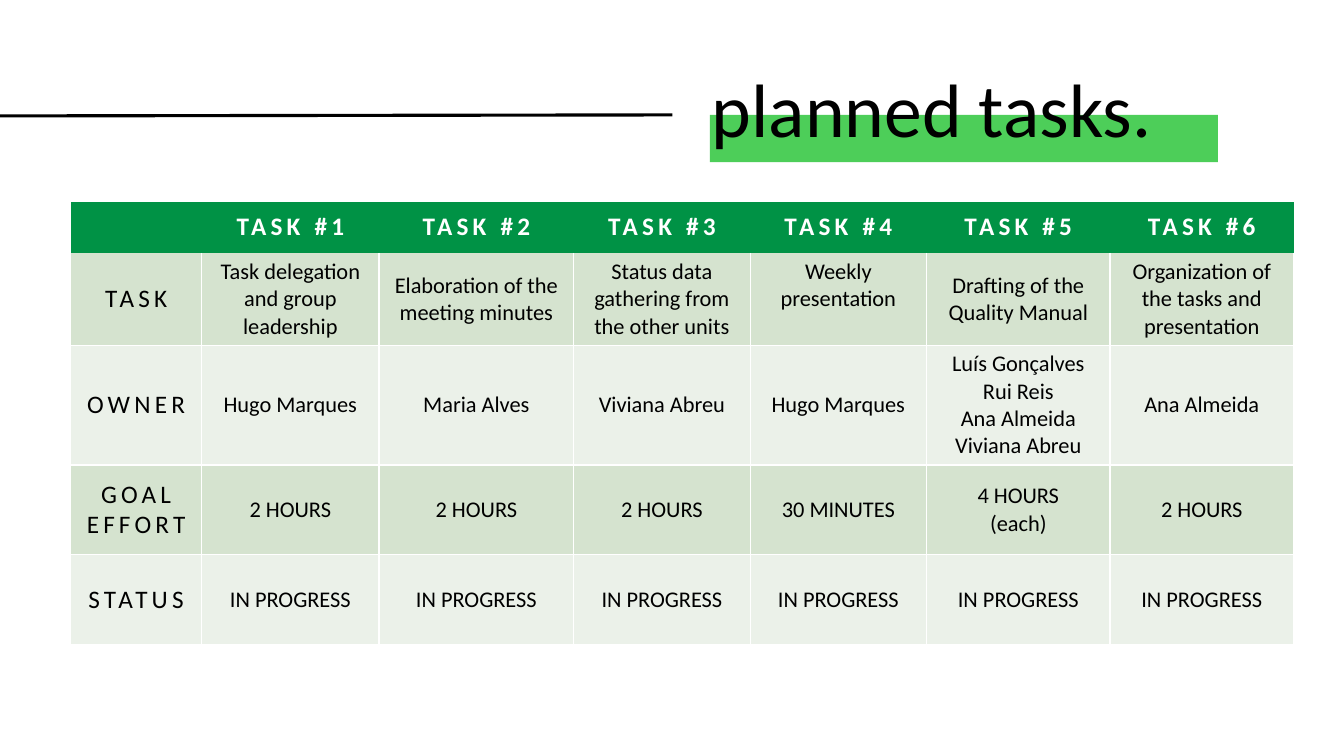
"""Build the planned tasks slide with its title band, rule and task table."""
import lxml.etree
import pptx
import pptx.dml.color
import pptx.enum.shapes
import pptx.enum.text
import pptx.oxml.ns
import pptx.util

TITLE = "planned tasks."
HEADER = [""] + [f"TASK #{number}" for number in range(1, 7)]
BODY = [
    ["TASK", "Task delegation and group leadership", "Elaboration of the meeting minutes",
     "Status data gathering from the other units", "Weekly presentation",
     "Drafting of the Quality Manual", "Organization of the tasks and presentation"],
    ["OWNER", "Hugo Marques", "Maria Alves", "Viviana Abreu", "Hugo Marques",
     "Luís Gonçalves\nRui Reis\nAna Almeida\nViviana Abreu", "Ana Almeida"],
    ["GOAL\nEFFORT", "2 HOURS", "2 HOURS", "2 HOURS", "30 MINUTES", "4 HOURS\n(each)", "2 HOURS"],
    ["STATUS"] + ["IN PROGRESS"] * 6,
]
TOP_ANCHORED = (1, 4)
COLUMN_WIDTHS = [1.3, 1.76, 1.93, 1.75, 1.75, 1.82, 1.82]
ROW_HEIGHTS = [0.51] + [0.89] * 4
TABLE_LEFT, TABLE_TOP = 0.7, 2
BAND_BOX = (7.04, 1.14, 5.04, 0.47)
TITLE_BOX = (6.96, 0.4, 5.45, 1.45)
RULE_ENDS = (0, 1.15, 6.67, 1.14)

THEME = {
    "font": "Calibri", "title": 54, "label": 18, "text": 16, "tracking": 300,
    "rule": 2.25, "border": 1,
    "black": "000000", "white": "FFFFFF", "accent": "4DCE59", "header": "009245",
    "bands": ("D5E3CF", "EBF1E9"),
}


def color(value):
    return pptx.dml.color.RGBColor.from_string(value)


def inches(values):
    return [pptx.util.Inches(value) for value in values]


def add_run(paragraph, text, size, ink, bold=False, tracking=0):
    run = paragraph.add_run()
    run.text = text
    run.font.name = THEME["font"]
    run.font.size = pptx.util.Pt(size)
    run.font.bold = bold
    run.font.color.rgb = color(ink)
    if tracking:
        run.font._element.set("spc", str(tracking))


def set_borders(cell, visible):
    properties = cell._tc.get_or_add_tcPr()
    for position, side in enumerate(("lnL", "lnR", "lnT", "lnB")):
        border = lxml.etree.Element(pptx.oxml.ns.qn(f"a:{side}"))
        border.set("w", str(pptx.util.Pt(THEME["border"])))
        if side in visible:
            fill = lxml.etree.SubElement(border, pptx.oxml.ns.qn("a:solidFill"))
            lxml.etree.SubElement(fill, pptx.oxml.ns.qn("a:srgbClr"), val=THEME["white"])
        else:
            lxml.etree.SubElement(border, pptx.oxml.ns.qn("a:noFill"))
        properties.insert(position, border)


def fill_cell(cell, text, row, column):
    is_header = row == 0
    is_label = is_header or column == 0
    middle, top = pptx.enum.text.MSO_ANCHOR.MIDDLE, pptx.enum.text.MSO_ANCHOR.TOP
    cell.vertical_anchor = top if (row, column) == TOP_ANCHORED else middle
    cell.fill.solid()
    cell.fill.fore_color.rgb = color(THEME["header"] if is_header else THEME["bands"][(row - 1) % 2])
    sides = {0: (), 1: ("lnL", "lnR", "lnB")}
    set_borders(cell, sides.get(row, ("lnL", "lnR", "lnT", "lnB")))
    for index, line in enumerate(text.split("\n") if text else []):
        paragraph = cell.text_frame.add_paragraph() if index else cell.text_frame.paragraphs[0]
        paragraph.alignment = pptx.enum.text.PP_ALIGN.CENTER
        add_run(paragraph, line, THEME["label" if is_label else "text"],
                THEME["white" if is_header else "black"], is_header,
                THEME["tracking"] if is_label else 0)


def add_band(slide):
    band = slide.shapes.add_shape(pptx.enum.shapes.MSO_SHAPE.RECTANGLE, *inches(BAND_BOX))
    band.shadow.inherit = False
    band.fill.solid()
    band.fill.fore_color.rgb = color(THEME["accent"])
    band.line.fill.background()


def add_task_table(slide):
    box = inches((TABLE_LEFT, TABLE_TOP, sum(COLUMN_WIDTHS), sum(ROW_HEIGHTS)))
    table = slide.shapes.add_table(len(ROW_HEIGHTS), len(COLUMN_WIDTHS), *box).table
    table.horz_banding = False
    for column, width in zip(table.columns, inches(COLUMN_WIDTHS)):
        column.width = width
    for row, height in zip(table.rows, inches(ROW_HEIGHTS)):
        row.height = height
    for row, texts in enumerate([HEADER] + BODY):
        for column, text in enumerate(texts):
            fill_cell(table.cell(row, column), text, row, column)


def add_rule(slide):
    rule = slide.shapes.add_connector(pptx.enum.shapes.MSO_CONNECTOR.STRAIGHT, *inches(RULE_ENDS))
    rule.line.color.rgb = color(THEME["black"])
    rule.line.width = pptx.util.Pt(THEME["rule"])
    lxml.etree.SubElement(rule._element.spPr, pptx.oxml.ns.qn("a:effectLst"))


def place_title(slide):
    title = slide.shapes.title
    title.left, title.top, title.width, title.height = inches(TITLE_BOX)
    frame = title.text_frame
    frame.word_wrap = True
    frame.auto_size = pptx.enum.text.MSO_AUTO_SIZE.NONE
    frame.vertical_anchor = pptx.enum.text.MSO_ANCHOR.MIDDLE
    paragraph = frame.paragraphs[0]
    paragraph.alignment = pptx.enum.text.PP_ALIGN.LEFT
    paragraph.line_spacing = 0.9
    add_run(paragraph, TITLE, THEME["title"], THEME["black"])
    slide.shapes._spTree.append(title._element)


def main():
    presentation = pptx.Presentation()
    presentation.slide_width, presentation.slide_height = inches((13.33, 7.5))
    slide = presentation.slides.add_slide(presentation.slide_layouts.get_by_name("Title Only"))
    add_band(slide)
    add_task_table(slide)
    add_rule(slide)
    place_title(slide)
    presentation.save("out.pptx")


if __name__ == "__main__":
    main()
